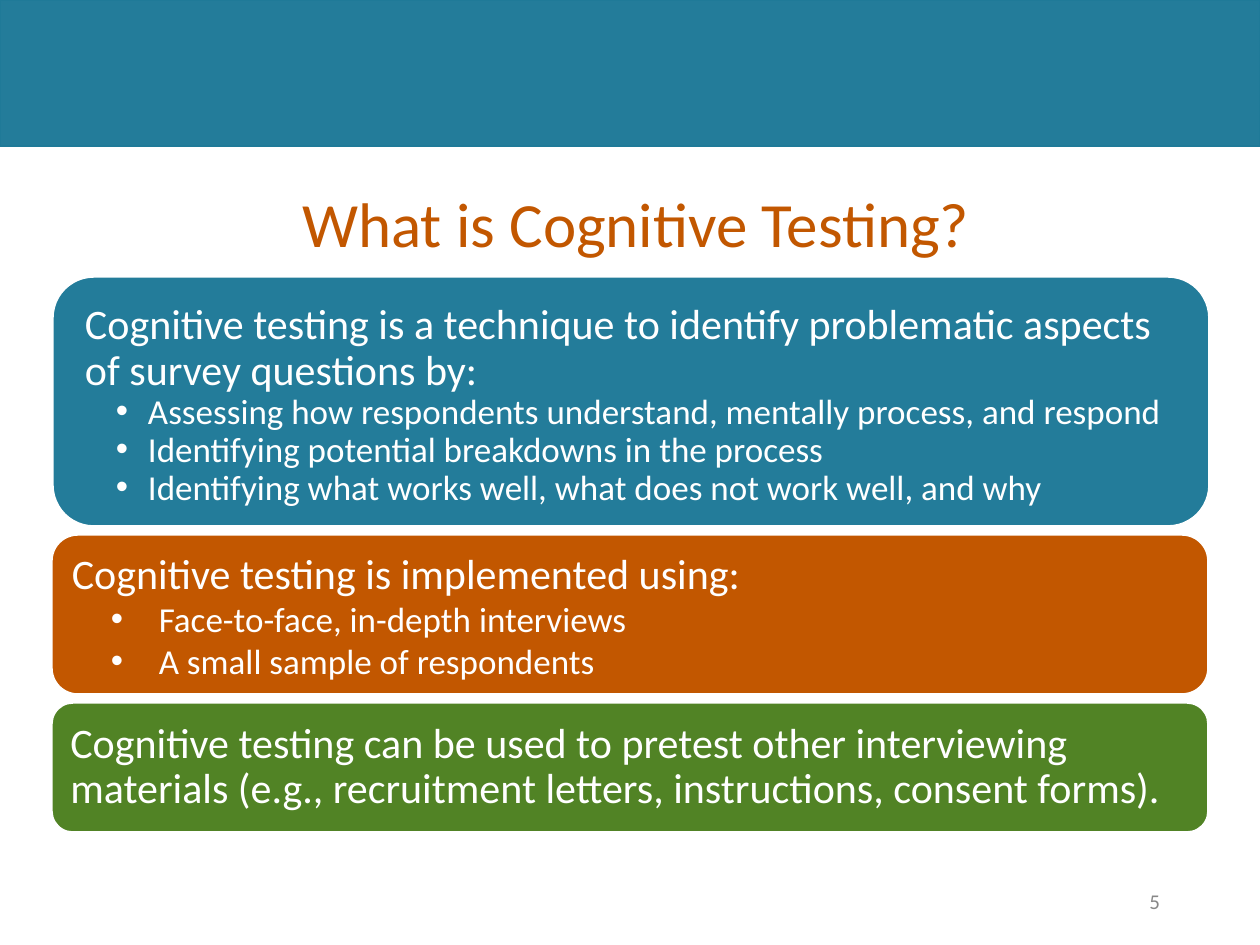
from dataclasses import dataclass
from typing import Optional

from lxml.etree import SubElement
from pptx import Presentation
from pptx.dml.color import RGBColor
from pptx.enum.shapes import MSO_SHAPE
from pptx.enum.text import MSO_ANCHOR, PP_ALIGN
from pptx.oxml.ns import qn
from pptx.util import Emu, Pt

PX_PER_INCH = 126
SLIDE_W, SLIDE_H = 1260, 945
FONT = "Calibri"

TEAL = RGBColor(0x23, 0x7C, 0x9A)
TEAL_EDGE = RGBColor(0x1F, 0x7A, 0x98)
ORANGE = RGBColor(0xC2, 0x57, 0x00)
GREEN = RGBColor(0x51, 0x83, 0x25)
WHITE = RGBColor(0xFF, 0xFF, 0xFF)
GRAY = RGBColor(0x88, 0x88, 0x88)


def px(length: int) -> Emu:
    return Emu(round(length * 914400 / PX_PER_INCH))


@dataclass
class Box:
    left: int
    top: int
    width: int
    height: int

    def emu(self) -> tuple:
        return px(self.left), px(self.top), px(self.width), px(self.height)


@dataclass
class Line:
    text: str
    size: int
    color: RGBColor = WHITE
    align: PP_ALIGN = PP_ALIGN.LEFT
    spacing: float = 1.0
    bullet_indent: Optional[tuple] = None  # left margin, hanging part


@dataclass
class Panel:
    box: Box
    fill: RGBColor
    lines: list
    text_box: Optional[Box] = None  # when the text has its own box


def add_bullet(paragraph, color: RGBColor, margin: int, hanging: int) -> None:
    properties = paragraph._p.get_or_add_pPr()
    properties.set("marL", str(px(margin)))
    properties.set("indent", str(-px(hanging)))
    bullet_color = SubElement(properties, qn("a:buClr"))
    SubElement(bullet_color, qn("a:srgbClr"), val=str(color))
    SubElement(properties, qn("a:buFont"), typeface="Arial")
    SubElement(properties, qn("a:buChar"), char="•")


def write_lines(frame, lines: list, inset_y: int) -> None:
    frame.word_wrap = True
    frame.vertical_anchor = MSO_ANCHOR.MIDDLE
    frame.margin_left = frame.margin_right = px(13)
    frame.margin_top = frame.margin_bottom = px(inset_y)
    for index, line in enumerate(lines):
        paragraph = frame.paragraphs[0] if index == 0 else frame.add_paragraph()
        if line.bullet_indent:
            add_bullet(paragraph, line.color, *line.bullet_indent)
        paragraph.alignment = line.align
        paragraph.line_spacing = line.spacing
        run = paragraph.add_run()
        run.text = line.text
        run.font.name = FONT
        run.font.size = Pt(line.size)
        run.font.color.rgb = line.color


def add_block(slide, kind: MSO_SHAPE, box: Box, fill: RGBColor,
              edge: RGBColor, edge_pt: float):
    block = slide.shapes.add_shape(kind, *box.emu())
    block.shadow.inherit = False
    block.fill.solid()
    block.fill.fore_color.rgb = fill
    block.line.color.rgb = edge
    block.line.width = Pt(edge_pt)
    return block


def add_text(slide, box: Box, lines: list, inset_y: int = 6) -> None:
    write_lines(slide.shapes.add_textbox(*box.emu()).text_frame, lines, inset_y)


def add_panel(slide, panel: Panel) -> None:
    block = add_block(slide, MSO_SHAPE.ROUNDED_RECTANGLE, panel.box,
                      panel.fill, WHITE, 2)
    if panel.text_box:
        add_text(slide, panel.text_box, panel.lines, 13)
    else:
        write_lines(block.text_frame, panel.lines, 13)


TECHNIQUES = (
    "Assessing how respondents understand, mentally process, and respond",
    "Identifying potential breakdowns in the process",
    "Identifying what works well, what does not work well, and why",
)
METHODS = ("Face-to-face, in-depth interviews", "A small sample of respondents")

PANELS = [
    Panel(Box(52, 276, 1158, 251), TEAL,
          [Line("Cognitive testing is a technique to identify problematic "
                "aspects of survey questions by:", 24, spacing=0.9)]
          + [Line(text, 20, spacing=0.9, bullet_indent=(63, 32))
             for text in TECHNIQUES],
          text_box=Box(72, 314, 1116, 183)),
    Panel(Box(51, 534, 1158, 161), ORANGE,
          [Line("Cognitive testing is implemented using:", 24)]
          + [Line(text, 20, bullet_indent=(87, 48)) for text in METHODS]),
    Panel(Box(51, 702, 1158, 131), GREEN,
          [Line("Cognitive testing can be used to pretest other interviewing "
                "materials (e.g., recruitment letters, instructions, consent "
                "forms).", 24, spacing=0.9)]),
]


def main() -> None:
    deck = Presentation()
    deck.slide_width, deck.slide_height = px(SLIDE_W), px(SLIDE_H)
    slide = deck.slides.add_slide(deck.slide_layouts[6])

    # Header band and title
    add_block(slide, MSO_SHAPE.RECTANGLE, Box(0, 0, SLIDE_W, 146),
              TEAL, TEAL_EDGE, 0.75)
    add_text(slide, Box(236, 121, 800, 203),
             [Line("What is Cognitive Testing?", 36, ORANGE, PP_ALIGN.CENTER)])

    # Three content panels
    for panel in PANELS:
        add_panel(slide, panel)

    # Slide number
    add_text(slide, Box(890, 876, 283, 50),
             [Line("5", 12, GRAY, PP_ALIGN.RIGHT)])

    deck.save("out.pptx")


if __name__ == "__main__":
    main()
